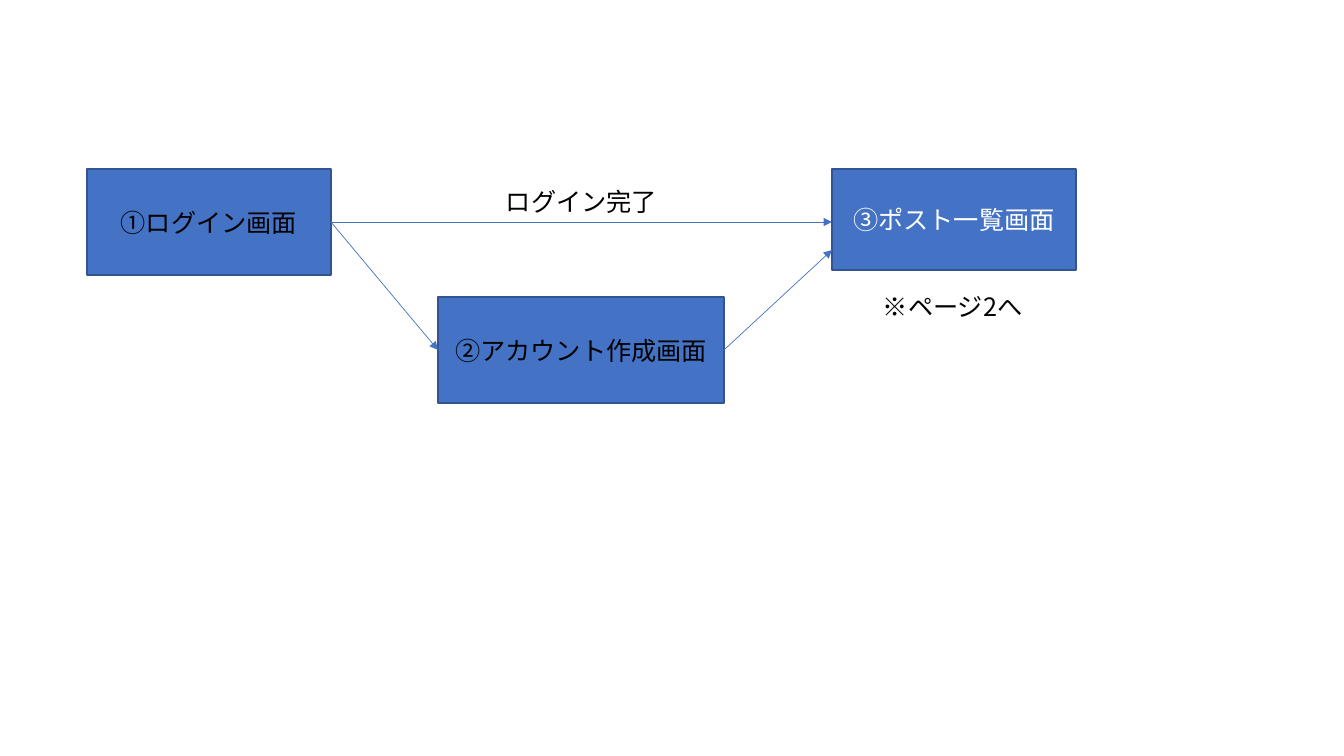
from lxml import etree
from pptx import Presentation
from pptx.dml.color import RGBColor
from pptx.enum.shapes import MSO_CONNECTOR, MSO_SHAPE
from pptx.enum.text import MSO_ANCHOR, MSO_AUTO_SIZE, PP_ALIGN
from pptx.oxml.ns import qn
from pptx.util import Pt

RECT = MSO_SHAPE.RECTANGLE
STRAIGHT = MSO_CONNECTOR.STRAIGHT
MIDDLE = MSO_ANCHOR.MIDDLE
FIT_SHAPE = MSO_AUTO_SIZE.SHAPE_TO_FIT_TEXT
LEFT, CENTER = PP_ALIGN.LEFT, PP_ALIGN.CENTER
RIGHT_SIDE, LEFT_SIDE = 3, 1

FONT = "Noto Sans CJK JP"
BLUE, DARK_BLUE, BLACK, WHITE = "4472C4", "325491", "000000", "FFFFFF"


def px(n):
    return round(n * 914400 / 100.8)


def rgb(value):
    return RGBColor.from_string(value)


def write(tf, text, color, align):
    p = tf.paragraphs[0]
    p.alignment = align
    r = p.add_run()
    r.text = text
    for name, value in {"size": Pt(18), "name": FONT}.items():
        setattr(r.font, name, value)
    r.font.color.rgb = rgb(color)
    etree.SubElement(r.font._element, qn("a:ea"), typeface=FONT)


def add_screen(s, box, text, color):
    sp = s.shapes.add_shape(RECT, *map(px, box))
    sp.shadow.inherit = False
    sp.fill.solid()
    sp.fill.fore_color.rgb = rgb(BLUE)
    sp.line.color.rgb = rgb(DARK_BLUE)
    sp.line.width = Pt(1)
    tf = sp.text_frame
    for name, value in {"vertical_anchor": MIDDLE, "word_wrap": True}.items():
        setattr(tf, name, value)
    write(tf, text, color, CENTER)
    return sp


def add_label(s, box, text):
    tf = s.shapes.add_textbox(*map(px, box)).text_frame
    for name, value in {"word_wrap": True, "auto_size": FIT_SHAPE}.items():
        setattr(tf, name, value)
    write(tf, text, BLACK, LEFT)


def add_arrow(s, source, end):
    start = (source.left + source.width, source.top + source.height // 2)
    cxn = s.shapes.add_connector(STRAIGHT, *start, *end)
    cxn.begin_connect(source, RIGHT_SIDE)
    cxn.line.color.rgb = rgb(BLUE)
    cxn.line.width = Pt(0.5)
    etree.SubElement(cxn.line._get_or_add_ln(), qn("a:tailEnd"), type="triangle")
    etree.SubElement(cxn._element.spPr, qn("a:effectLst"))
    return cxn


def add_screen_flow(s, x, y):
    login = add_screen(s, (x, y, 244, 106), "①ログイン画面", BLACK)
    account = add_screen(s, (x + 351, y + 128, 286, 106), "②アカウント作成画面", BLACK)
    posts = add_screen(s, (x + 745, y, 244, 101), "③ポスト一覧画面", WHITE)

    to_account = add_arrow(s, login, (account.left, account.top + account.height // 2))
    to_account.end_connect(account, LEFT_SIDE)
    add_arrow(s, login, (posts.left, login.top + login.height // 2))
    add_arrow(s, account, (posts.left, posts.top + px(81)))

    add_label(s, (x + 786, y + 117, 161, 40), "※ページ2へ")
    add_label(s, (x + 409, y + 12, 174, 40), "ログイン完了")


def main():
    prs = Presentation()
    prs.slide_width, prs.slide_height = px(1344), px(756)
    s = prs.slides.add_slide(prs.slide_layouts[6])
    add_screen_flow(s, 87, 169)
    prs.save("out.pptx")


if __name__ == "__main__":
    main()
